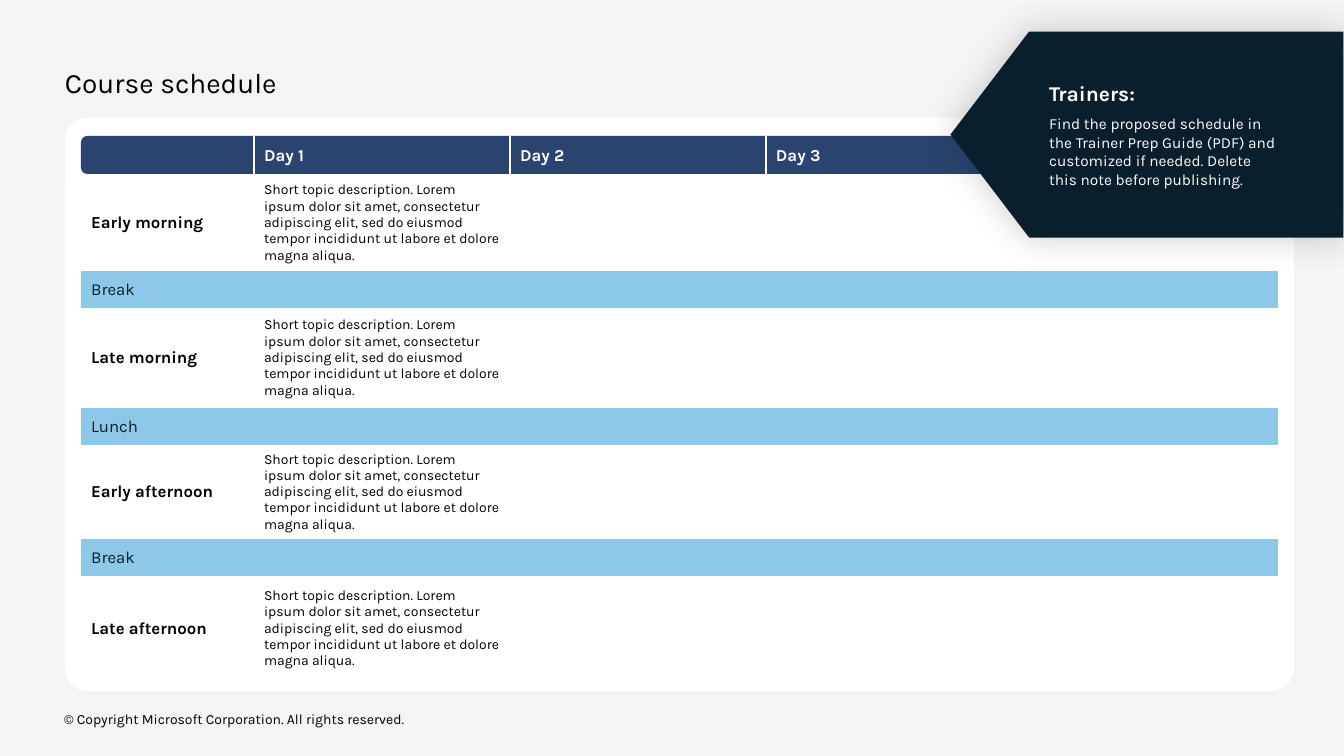
"""Build the course schedule slide."""
from lxml import etree
from pptx import Presentation
from pptx import util as u
from pptx.dml.color import RGBColor
from pptx.enum import shapes, text
from pptx.oxml.ns import qn

SCALE = 12192000 / 1344
FONT = "Karla"
HUES = {
    "back": "F4F3F5", "white": "FFFFFF", "black": "000000", "head": "2A446F",
    "band": "8DC8E8", "ink": "091F2E", "note": "091F2C",
}
PLAIN = "{2D5ABB26-0587-4C30-8999-92F81FD0307C}"
COLS = [173] + [256] * 4
TOPIC = ("Short topic description. Lorem ipsum dolor sit amet, consectetur "
         "adipiscing elit, sed do eiusmod tempor incididunt ut labore et "
         "dolore magna aliqua.")
SLOTS = [
    ("Early morning", 96), ("Break", 37), ("Late morning", 100), ("Lunch", 37),
    ("Early afternoon", 93), ("Break", 37), ("Late afternoon", 105),
]
PAUSES = ("Break", "Lunch")


def px(n):
    """Turn pixels into EMU."""
    return u.Emu(round(n * SCALE))


def hue(name):
    """Look up a colour."""
    return RGBColor.from_string(HUES[name])


def add_run(para, words, size, tint, bold=False):
    """Add one styled run to a paragraph."""
    run = para.add_run()
    run.text = words
    font = run.font
    font.name, font.size, font.bold = FONT, u.Pt(size), bold
    font.color.rgb = hue(tint)


def set_frame(frame, pads, anchor):
    """Set wrapping, insets and anchor of a text frame."""
    frame.word_wrap = True
    frame.vertical_anchor = anchor
    (frame.margin_left, frame.margin_top,
     frame.margin_right, frame.margin_bottom) = map(px, pads)


def add_label(slide, box, words, size, anchor):
    """Add a text box with one line."""
    frame = slide.shapes.add_textbox(*map(px, box)).text_frame
    set_frame(frame, (0, 0, 0, 0), anchor)
    add_run(frame.paragraphs[0], words, size, "black")


def add_block(slide, kind, box, tint):
    """Add a flat filled shape."""
    block = slide.shapes.add_shape(kind, *map(px, box))
    block.shadow.inherit = False
    block.fill.solid()
    block.fill.fore_color.rgb = hue(tint)
    block.line.fill.background()
    return block


def add_panel(slide, box, tint, curve):
    """Add a rounded panel."""
    panel = add_block(slide, shapes.MSO_SHAPE.ROUNDED_RECTANGLE, box, tint)
    panel.adjustments[0] = curve


def add_edge(cell, side):
    """Draw a white border on one side of a cell."""
    line = etree.SubElement(cell._tc.get_or_add_tcPr(), qn("a:ln" + side),
                            w=str(u.Pt(1)))
    fill = etree.SubElement(line, qn("a:solidFill"))
    etree.SubElement(fill, qn("a:srgbClr"), val=HUES["white"])


def fill_cell(cell, words, size, tint, bold, back):
    """Set the text and fill of a cell."""
    cell.vertical_anchor = text.MSO_ANCHOR.MIDDLE
    para = cell.text_frame.paragraphs[0]
    if words:
        add_run(para, words, size, tint, bold)
    else:
        para._p.get_or_add_endParaRPr().set("sz", str(size * 100))
    if back:
        cell.fill.solid()
        cell.fill.fore_color.rgb = hue(back)
    else:
        cell.fill.background()


def add_table(slide):
    """Add the schedule table."""
    tall = [39] + [size for _, size in SLOTS]
    box = (81, 136, sum(COLS), sum(tall))
    frame = slide.shapes.add_table(len(tall), len(COLS), *map(px, box))
    grid = frame.table
    grid.first_row = grid.horz_banding = False
    grid._tbl.tblPr.find(qn("a:tableStyleId")).text = PLAIN
    for col, wide in zip(grid.columns, COLS):
        col.width = px(wide)
    for row, high in zip(grid.rows, tall):
        row.height = px(high)
    last = len(COLS) - 1
    for c in range(len(COLS)):
        cell = grid.cell(0, c)
        sides = ("L" if c else "") + ("R" if c < last else "") + "B"
        for side in sides:
            add_edge(cell, side)
        fill_cell(cell, f"Day {c}" if c else "", 12, "white", True, None)
    for r, (name, _) in enumerate(SLOTS, 1):
        pause = name in PAUSES
        back = "band" if pause else "white"
        fill_cell(grid.cell(r, 0), name, 12, "ink" if pause else "black",
                  not pause, back)
        for c in range(1, len(COLS)):
            words = TOPIC if c == 1 and not pause else ""
            fill_cell(grid.cell(r, c), words, 10, "black", False, back)


def add_glow(shape):
    """Give a shape a soft centred shadow."""
    effect = shape._element.spPr.find(qn("a:effectLst"))
    glow = etree.SubElement(effect, qn("a:outerShdw"), blurRad=str(u.Pt(25)),
                            dist="0", dir="0", algn="ctr", rotWithShape="0")
    tone = etree.SubElement(glow, qn("a:srgbClr"), val=HUES["black"])
    etree.SubElement(tone, qn("a:alpha"), val="20000")


def add_note(slide):
    """Add the trainer note pointing left."""
    kind = shapes.MSO_SHAPE.FLOWCHART_OFFPAGE_CONNECTOR
    note = add_block(slide, kind, (1044, -62, 206, 393), "note")
    note.rotation = 90
    add_glow(note)
    frame = note.text_frame
    set_frame(frame, (30, 65, 30, 20), text.MSO_ANCHOR.MIDDLE)
    frame._txBody.bodyPr.set("vert", "vert270")
    lines = [
        ("Trainers:", 15, True),
        ("Find the proposed schedule in the Trainer Prep Guide (PDF) and "
         "customized if needed. Delete this note before publishing.", 11, False),
    ]
    for i, (words, size, bold) in enumerate(lines):
        para = frame.add_paragraph() if i else frame.paragraphs[0]
        para.alignment = text.PP_ALIGN.LEFT
        para.space_after = u.Pt(6)
        add_run(para, words, size, "white", bold)


def main():
    """Build and save the slide."""
    deck = Presentation()
    deck.slide_width, deck.slide_height = px(1344), px(756)
    slide = deck.slides.add_slide(deck.slide_layouts[6])
    slide.background.fill.solid()
    slide.background.fill.fore_color.rgb = hue("back")
    add_label(slide, (65, 65, 903, 34), "Course schedule", 20,
              text.MSO_ANCHOR.TOP)
    add_label(slide, (64, 708, 458, 22),
              "© Copyright Microsoft Corporation. All rights reserved.", 10,
              text.MSO_ANCHOR.MIDDLE)
    add_panel(slide, (65, 118, 1229, 573), "white", 0.04)
    add_panel(slide, (81, 136, 1197, 38), "head", 0.16)
    add_table(slide)
    add_note(slide)
    deck.save("out.pptx")


if __name__ == "__main__":
    main()
